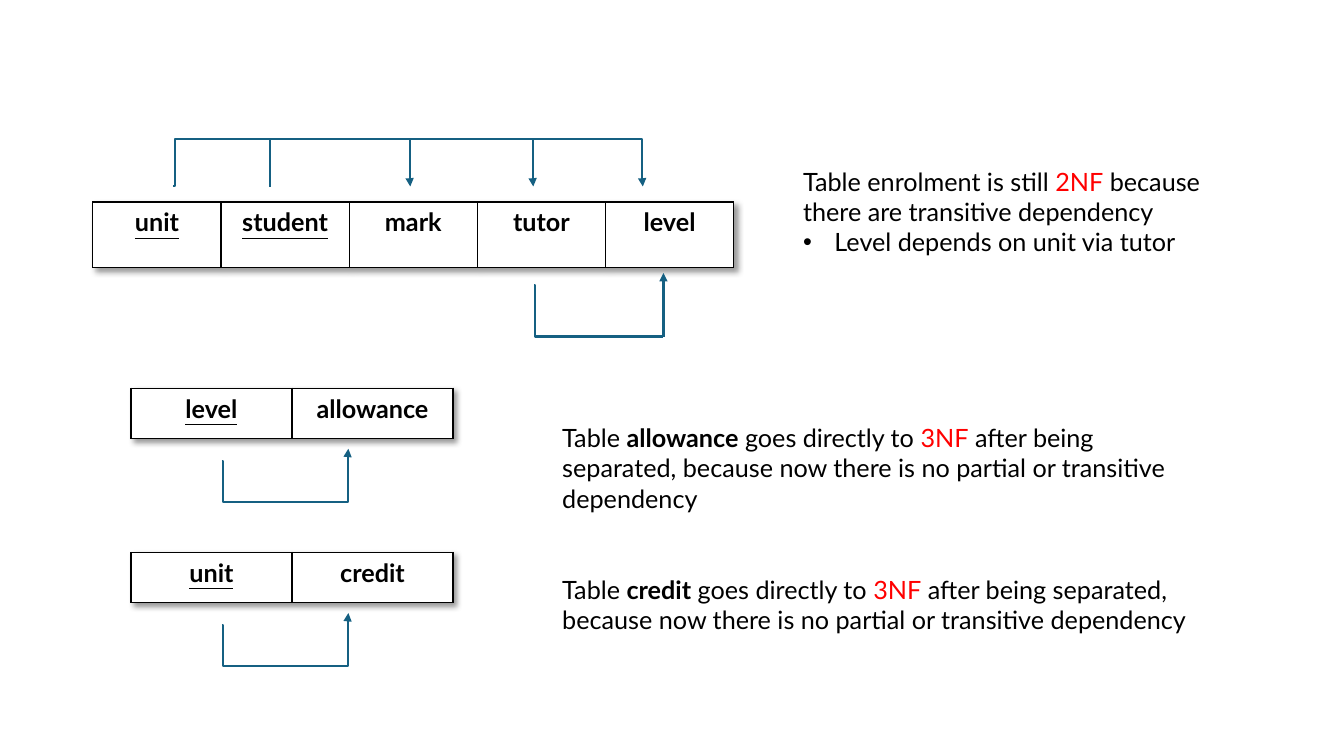
from dataclasses import dataclass

from lxml.etree import SubElement
from pptx import Presentation
from pptx.dml.color import RGBColor
from pptx.enum.shapes import MSO_CONNECTOR as Link
from pptx.enum.text import MSO_AUTO_SIZE as AutoSize, PP_ALIGN as Align
from pptx.oxml import parse_xml
from pptx.oxml.ns import nsdecls, qn
from pptx.slide import Slide
from pptx.text.text import _Paragraph as Paragraph, _Run as Run
from pptx.util import Cm, Pt

COLORS = {"ink": "000000", "accent": "FF0000", "arrow": "156082", "cell": "FFFFFF"}
FONT = "Lato"
BORDER_SIDES = ("a:lnL", "a:lnR", "a:lnT", "a:lnB")


@dataclass
class Relation:
    left: float
    top: float
    column_width: float
    height: float
    columns: list[str]
    key_count: int


@dataclass
class Arrow:
    """A straight line, or an elbow when bend gives the turning point in percent."""
    start: tuple[float, float]
    end: tuple[float, float]
    bend: float | None = None
    head: bool = False


@dataclass
class Span:
    text: str
    color: str = "ink"
    bold: bool = False


@dataclass
class Note:
    left: float
    top: float
    width: float
    height: float
    spans: list[Span]
    bullet: str = ""


def rgb(name: str) -> RGBColor:
    return RGBColor.from_string(COLORS[name])


def style_run(run: Run, color: str = "ink", bold: bool = False) -> None:
    font = run.font
    font.name, font.size, font.bold = FONT, Pt(18), bold
    font.color.rgb = rgb(color)


def draw_relation(page: Slide, relation: Relation) -> None:
    count = len(relation.columns)
    frame = page.shapes.add_table(
        1, count, Cm(relation.left), Cm(relation.top),
        Cm(relation.column_width * count), Cm(relation.height))
    table = frame.table
    table.first_row = table.horz_banding = False
    table._tbl.tblPr.insert(0, parse_xml(
        f'<a:effectLst {nsdecls("a")}><a:outerShdw blurRad="50800" dist="38100" '
        'dir="2700000" algn="tl" rotWithShape="0"><a:prstClr val="black">'
        '<a:alpha val="40000"/></a:prstClr></a:outerShdw></a:effectLst>'))
    for index, name in enumerate(relation.columns):
        table.columns[index].width = Cm(relation.column_width)
        cell = table.cell(0, index)
        cell.text_frame.text = name
        para = cell.text_frame.paragraphs[0]
        para.alignment = Align.CENTER
        style_run(para.runs[0], bold=True)
        para.runs[0].font.underline = index < relation.key_count
        properties = cell._tc.get_or_add_tcPr()
        for side in BORDER_SIDES:
            border = SubElement(properties, qn(side), w=str(Pt(1)))
            fill = SubElement(border, qn("a:solidFill"))
            SubElement(fill, qn("a:srgbClr"), val=COLORS["ink"])
        cell.fill.solid()
        cell.fill.fore_color.rgb = rgb("cell")


def draw_arrow(page: Slide, arrow: Arrow) -> None:
    kind = Link.STRAIGHT if arrow.bend is None else Link.ELBOW
    points = [Cm(value) for value in (*arrow.start, *arrow.end)]
    connector = page.shapes.add_connector(kind, *points)
    connector.line.color.rgb = rgb("arrow")
    connector.line.width = Pt(1.5)
    properties = connector._element.spPr
    if arrow.bend is not None:
        guides = properties.find(qn("a:prstGeom")).get_or_add_avLst()
        SubElement(guides, qn("a:gd"), name="adj1", fmla=f"val {round(arrow.bend * 1000)}")
    if arrow.head:
        SubElement(connector.line._get_or_add_ln(), qn("a:tailEnd"), type="triangle")
    SubElement(properties, qn("a:effectLst"))


def add_bullet(para: Paragraph) -> None:
    properties = para._p.get_or_add_pPr()
    properties.set("marL", str(Cm(0.79)))
    properties.set("indent", str(-Cm(0.79)))
    SubElement(properties, qn("a:buFont"), typeface="Arial")
    SubElement(properties, qn("a:buChar"), char="•")


def draw_note(page: Slide, note: Note) -> None:
    box = page.shapes.add_textbox(
        Cm(note.left), Cm(note.top), Cm(note.width), Cm(note.height))
    frame = box.text_frame
    frame.word_wrap = True
    frame.auto_size = AutoSize.SHAPE_TO_FIT_TEXT
    for span in note.spans:
        run = frame.paragraphs[0].add_run()
        run.text = span.text
        style_run(run, span.color, span.bold)
    if note.bullet:
        para = frame.add_paragraph()
        para.text = note.bullet
        add_bullet(para)
        style_run(para.runs[0])


def pair_loop(top: float) -> list[Arrow]:
    """Arrow under a two-column relation, from its key to its other column."""
    rail = top + 2.87
    return [
        Arrow((6.6, rail), (8.78, top + 1.53), bend=99.2, head=True),
        Arrow((5.59, top + 1.83), (7.7, rail), bend=1.8),
    ]


def separated_note(name: str, top: float, height: float) -> Note:
    return Note(13.92, top, 16.64, height, [
        Span("Table "), Span(name, bold=True), Span(" goes directly to "),
        Span("3NF", "accent"),
        Span(" after being separated, because now there is no partial "
             "or transitive dependency"),
    ])


RAIL, STEM_END = 3.51, 4.7
ALLOWANCE_TOP, CREDIT_TOP = 9.78, 13.92

RELATIONS = [
    Relation(2.34, 5.09, 3.23, 1.65, ["unit", "student", "mark", "tutor", "level"], 2),
    Relation(3.3, CREDIT_TOP, 4.06, 1.27, ["unit", "credit"], 1),
    Relation(3.3, ALLOWANCE_TOP, 4.06, 1.27, ["level", "allowance"], 1),
]
ARROWS = [
    *(Arrow((left, RAIL), (left + 3.53, STEM_END), bend=99.6, head=True)
      for left in (6.81, 9.91, 12.67)),
    Arrow((4.37, STEM_END), (7.85, RAIL), bend=0.9),
    Arrow((6.81, STEM_END), (6.81, RAIL)),
    Arrow((13.46, 7.19), (16.72, 8.48), bend=0.7),
    Arrow((16.72, 8.48), (16.72, 6.88), head=True),
    *pair_loop(CREDIT_TOP),
    *pair_loop(ALLOWANCE_TOP),
]
NOTES = [
    separated_note("credit", 14.35, 1.8),
    Note(19.99, 4.06, 11.89, 2.57, [
        Span("Table enrolment is still "), Span("2NF", "accent"),
        Span(" because there are transitive dependency"),
    ], bullet="Level depends on unit via tutor"),
    separated_note("allowance", 10.52, 2.57),
]


def main() -> None:
    deck = Presentation()
    deck.slide_width, deck.slide_height = Cm(33.87), Cm(19.05)
    page = deck.slides.add_slide(deck.slide_layouts[6])
    for relation in RELATIONS:
        draw_relation(page, relation)
    for arrow in ARROWS:
        draw_arrow(page, arrow)
    for note in NOTES:
        draw_note(page, note)
    deck.save("out.pptx")


if __name__ == "__main__":
    main()
